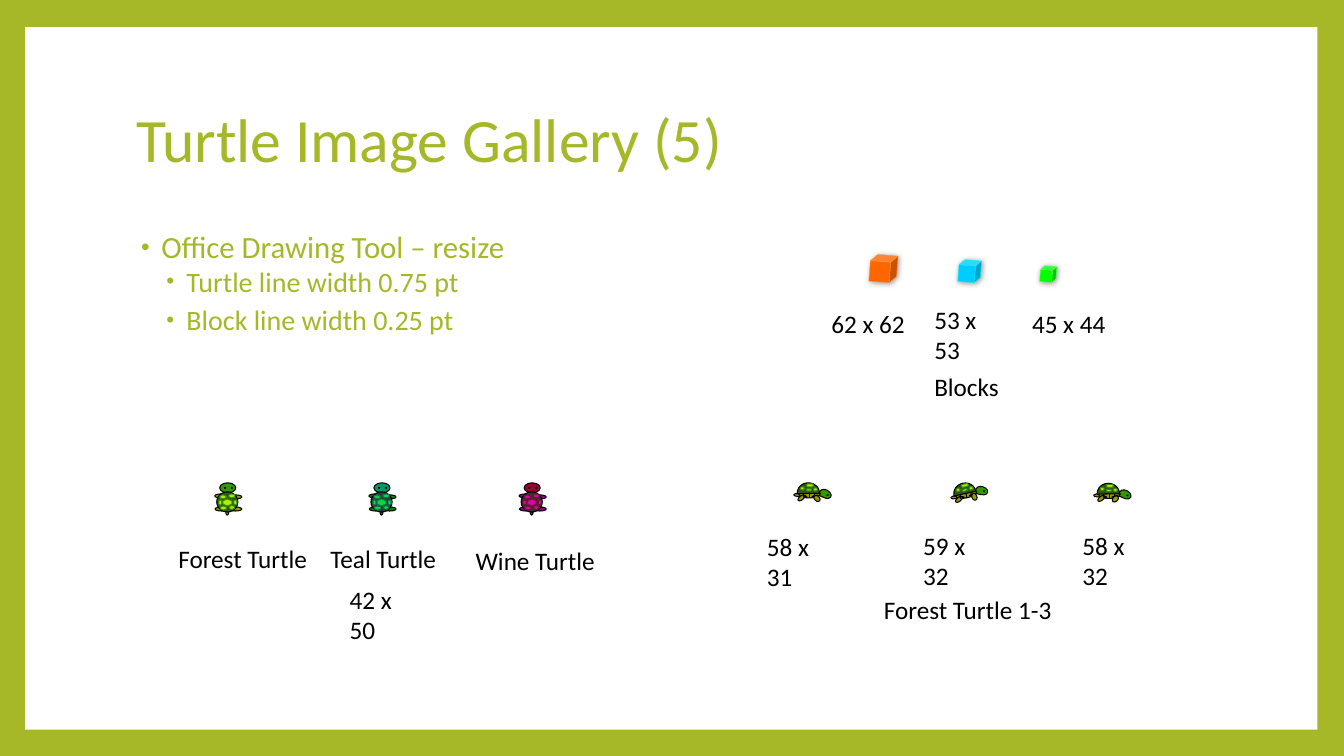
from dataclasses import dataclass
from math import cos, radians, sin

from lxml import etree
from pptx import Presentation
from pptx.dml.color import RGBColor
from pptx.enum.shapes import MSO_CONNECTOR, MSO_SHAPE
from pptx.enum.text import MSO_ANCHOR, PP_ALIGN
from pptx.oxml.ns import qn
from pptx.util import Pt

RECTANGLE, ELLIPSE, HEXAGON = MSO_SHAPE.RECTANGLE, MSO_SHAPE.OVAL, MSO_SHAPE.HEXAGON
CHORD, PIE, TEARDROP, CUBE = MSO_SHAPE.CHORD, MSO_SHAPE.PIE, MSO_SHAPE.TEAR, MSO_SHAPE.CUBE
STRAIGHT = MSO_CONNECTOR.STRAIGHT
LEFT, TOP, MIDDLE = PP_ALIGN.LEFT, MSO_ANCHOR.TOP, MSO_ANCHOR.MIDDLE


@dataclass(frozen=True)
class Theme:
    font: str = "Calibri"
    accent: str = "A6B727"
    paper: str = "FFFFFF"
    ink: str = "000000"
    title_size: float = 44
    bullet_sizes: tuple[float, float] = (22, 20)
    label_size: float = 18
    turtle_line: float = 0.75
    block_line: float = 0.25


@dataclass(frozen=True)
class Palette:
    """Colours of one turtle; each piece names the field it is filled with."""
    skin: str
    limb: str
    shell: str
    plate: str
    plate_edge: str


@dataclass(frozen=True)
class Piece:
    """One turtle piece, placed by its centre relative to the turtle's centre."""
    kind: MSO_SHAPE
    role: str
    x: float
    y: float
    width: float
    height: float
    angle: float = 0
    adjustments: tuple[float, ...] = ()


@dataclass(frozen=True)
class Turtle:
    x: float
    y: float
    palette: Palette
    pieces: tuple[Piece, ...]
    tilt: float = 0
    seams: tuple[tuple[float, float], ...] = ()


@dataclass(frozen=True)
class Block:
    x: float
    y: float
    size: float
    fill: str
    edge: str


@dataclass(frozen=True)
class Label:
    text: str
    left: float
    top: float
    width: float


THEME = Theme()
FOREST = Palette("339900", "999900", "335323", "AFEC00", "338F05")
TEAL = Palette("009966", "008900", "2E3D38", "05DB3A", "147152")
WINE = Palette("990033", "930393", "3D2E33", "DB05A6", "711433")

# Turtle seen from above
TOP_VIEW = (
    *(Piece(ELLIPSE, "limb", x, y, 9.36, 2.88)
      for x, y in ((5.76, 7.2), (5.76, -1.44), (-4.32, -2.16), (-4.1, 7.2))),
    Piece(ELLIPSE, "limb", 0, 9, 2.16, 5.04),
    Piece(ELLIPSE, "skin", 0.36, -7.92, 11.52, 7.2),
    Piece(ELLIPSE, "shell", 0, 2.16, 15.12, 14.4),
    *(Piece(HEXAGON, "plate", x, y, width, height, 90)
      for x, y, width, height in (
          (0, 2.52, 5.04, 6.48), (3.24, -2.16, 2.88, 4.32), (-3.1, -1.44, 2.88, 4.32),
          (-2.8, 6.48, 2.88, 4.32), (3.24, 6.12, 2.88, 3.6),
          (5.76, 2.52, 3.6, 2.16), (-5.04, 2.52, 3.6, 2.16))),
    *(Piece(ELLIPSE, "mark", x, -7.92, 1.44, 1.44, 90) for x in (3.24, -1.8)),
)

# Walking turtle seen from the side
SIDE_VIEW = (
    Piece(TEARDROP, "skin", 11.52, 1.44, 8.64, 5.76, 208.6, (1.334,)),
    Piece(ELLIPSE, "mark", 12.96, 2.16, 1.44, 1.44, 180),
    Piece(ELLIPSE, "limb", -8.28, 2.16, 2.16, 5.76, 90),
    Piece(CHORD, "shell", -0.72, 0.72, 15.84, 14.4, 0, (104.949, 2.377)),
    Piece(PIE, "limb", 0, 1.08, 15.84, 6.48, 0, (0, 107.124)),
    Piece(ELLIPSE, "mark", -3.96, 3.24, 5.04, 2.16, 9.4),
    Piece(ELLIPSE, "mark", 3.96, 2.88, 5.04, 1.44, 347.2),
    *(Piece(HEXAGON, "plate", x, y, width, height, 180)
      for x, y, width, height in (
          (0.36, -4.68, 5.04, 2.16), (-0.36, -1.44, 3.6, 1.44),
          (4.32, -1.8, 2.88, 2.16), (-5.04, -2.52, 2.88, 2.16))),
)
SEAM_TOP = 1.44
SEAMS = ((0, 4.32), (3.6, 3.6), (-4.32, 4.32))


def walking_turtle(x: float, y: float, leg_x: float, leg_angle: float, tilt: float = 0) -> Turtle:
    """The legs keep their own angles when the body tilts."""
    legs = (Piece(ELLIPSE, "limb", leg_x, 4.68, 5.04, 3.6, leg_angle - tilt),
            Piece(ELLIPSE, "limb", -5.76, 4.32, 5.76, 2.88, 142.9 - tilt))
    return Turtle(x, y, FOREST, SIDE_VIEW + legs, tilt, SEAMS)


TURTLES = (
    walking_turtle(578.16, 351.36, 5.4, 41.4),
    walking_turtle(689.76, 351.36, 5.4, 68.4, -11.6),
    walking_turtle(792.36, 351.72, 4.32, 135.5),
    *(Turtle(x, 356.4, palette, TOP_VIEW)
      for x, palette in ((272.52, TEAL), (379.8, WINE), (162.36, FOREST))),
)
BLOCKS = (
    Block(621.36, 182.16, 19.44, "FF6600", "FF9933"),
    Block(743.04, 190.08, 11.52, "00FF00", "66FF66"),
    Block(684.72, 185.76, 15.84, "00CCFF", "00FFFF"),
)
LABELS = (
    Label("Forest Turtle 1-3", 624.24, 421.2, 134.64),
    Label("58 x 31", 540.72, 375.84, 64.8),
    Label("59 x 32", 652.32, 375.12, 66),
    Label("58 x 32", 766.08, 375.12, 65.52),
    Label("Forest Turtle", 120.24, 384.48, 108.72),
    Label("Teal Turtle", 228.96, 384.48, 92.16),
    Label("Blocks", 660.24, 261.36, 63.36),
    Label("Wine Turtle", 332.64, 385.92, 100.08),
    Label("42 x 50", 242.64, 414, 66),
    Label("62 x 62", 586.8, 216.72, 67.68),
    Label("53 x 53", 660.24, 213.84, 64.08),
    Label("45 x 44", 730.08, 216.72, 67.2),
)
BULLETS = (("Office Drawing Tool – resize", 0),
           ("Turtle line width 0.75 pt", 1),
           ("Block line width 0.25 pt", 1))


def write(paragraph, text: str, size: float, color: str, **layout) -> None:
    run = paragraph.add_run()
    run.text = text
    for name, value in {"name": THEME.font, "size": Pt(size)}.items():
        setattr(run.font, name, value)
    run.font.color.rgb = RGBColor.from_string(color)
    for name, value in {"alignment": LEFT, **layout}.items():
        setattr(paragraph, name, value)


def place(shape, left: float, top: float, width: float, height: float) -> None:
    for name, value in {"left": left, "top": top, "width": width, "height": height}.items():
        setattr(shape, name, Pt(value))


def add_solid(shapes, kind: MSO_SHAPE, box: tuple[float, ...], fill: str,
              edge: str | None = None, weight: float = 0, angle: float = 0):
    shape = shapes.add_shape(kind, *(Pt(value) for value in box))
    shape.shadow.inherit = False
    shape.fill.solid()
    shape.fill.fore_color.rgb = RGBColor.from_string(fill)
    shape.rotation = angle % 360
    if edge:
        shape.line.color.rgb = RGBColor.from_string(edge)
        shape.line.width = Pt(weight)
    else:
        shape.line.fill.background()
    return shape


def draw_turtle(slide, turtle: Turtle) -> None:
    shapes = slide.shapes.add_group_shape().shapes
    cosine, sine = cos(radians(turtle.tilt)), sin(radians(turtle.tilt))

    def turned(x: float, y: float) -> tuple[float, float]:
        return turtle.x + x * cosine - y * sine, turtle.y + x * sine + y * cosine

    for piece in turtle.pieces:
        x, y = turned(piece.x, piece.y)
        box = (x - piece.width / 2, y - piece.height / 2, piece.width, piece.height)
        fill = THEME.ink if piece.role == "mark" else getattr(turtle.palette, piece.role)
        edge = {"mark": None, "plate": turtle.palette.plate_edge}.get(piece.role, THEME.ink)
        shape = add_solid(shapes, piece.kind, box, fill, edge,
                          THEME.turtle_line, piece.angle + turtle.tilt)
        for index, value in enumerate(piece.adjustments):
            shape.adjustments[index] = value
    for x, bottom in turtle.seams:
        ends = (*turned(x, SEAM_TOP), *turned(x, bottom))
        seam = shapes.add_connector(STRAIGHT, *(Pt(value) for value in ends))
        seam.line.color.rgb = RGBColor.from_string(THEME.ink)
        seam.line.width = Pt(THEME.turtle_line)
        etree.SubElement(seam.element.spPr, qn("a:effectLst"))


def draw_block(slide, block: Block) -> None:
    box = (block.x, block.y, block.size, block.size)
    cube = add_solid(slide.shapes, CUBE, box, block.fill, block.edge, THEME.block_line, 4.5)
    effects = cube.element.spPr.find(qn("a:effectLst"))
    shadow = etree.SubElement(effects, qn("a:outerShdw"), blurRad=str(Pt(4)), dist=str(Pt(1)),
                              dir="2700000", algn="tl", rotWithShape="0")
    color = etree.SubElement(shadow, qn("a:srgbClr"), val=THEME.ink)
    etree.SubElement(color, qn("a:alpha"), val="40000")


def draw_label(slide, label: Label) -> None:
    box = (label.left, label.top, label.width, 28.8)
    frame = slide.shapes.add_textbox(*(Pt(value) for value in box)).text_frame
    frame.word_wrap = True
    write(frame.paragraphs[0], label.text, THEME.label_size, THEME.ink)


def add_bullet(paragraph, text: str, level: int) -> None:
    before, after = ((14, 0), (2, 4))[level]
    write(paragraph, text, THEME.bullet_sizes[level], THEME.accent, level=level,
          line_spacing=0.9, space_before=Pt(before), space_after=Pt(after))
    properties = paragraph._p.get_or_add_pPr()
    properties.set("marL", str(Pt(18 * (level + 1))))
    properties.set("indent", str(Pt(-14.4)))
    color = etree.SubElement(properties, qn("a:buClr"))
    etree.SubElement(color, qn("a:srgbClr"), val=THEME.accent)
    etree.SubElement(properties, qn("a:buSzPct"), val="80000")
    etree.SubElement(properties, qn("a:buChar"), char="•")


def main() -> None:
    presentation = Presentation()
    presentation.slide_width, presentation.slide_height = Pt(960), Pt(540)
    slide = presentation.slides.add_slide(presentation.slide_layouts[1])

    # Coloured border around a white sheet
    slide.background.fill.solid()
    slide.background.fill.fore_color.rgb = RGBColor.from_string(THEME.accent)
    sheet = add_solid(slide.shapes, RECTANGLE, (18, 19.44, 923.04, 501.84), THEME.paper)

    # Title and list
    title, body = slide.shapes.title, slide.placeholders[1]
    title.element.addprevious(sheet.element)
    place(title, 90, 48.24, 777.6, 106.56)
    place(body, 90, 162, 777.6, 318.24)
    title.text_frame.vertical_anchor = MIDDLE
    body.text_frame.vertical_anchor = TOP
    write(title.text_frame.paragraphs[0], "Turtle Image Gallery (5)",
          THEME.title_size, THEME.accent, line_spacing=0.9)
    for index, (text, level) in enumerate(BULLETS):
        frame = body.text_frame
        add_bullet(frame.add_paragraph() if index else frame.paragraphs[0], text, level)

    # Gallery
    for draw, items in ((draw_turtle, TURTLES), (draw_block, BLOCKS), (draw_label, LABELS)):
        for item in items:
            draw(slide, item)
    presentation.save("out.pptx")


if __name__ == "__main__":
    main()
